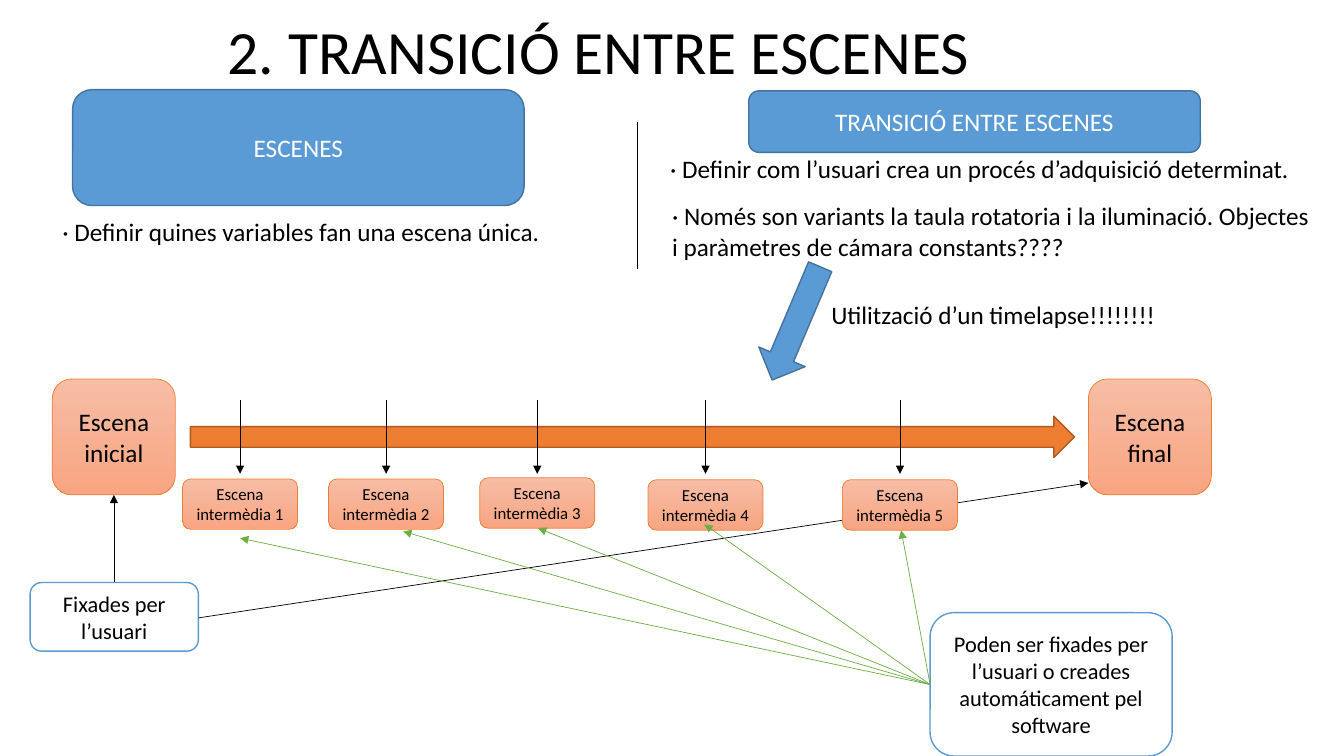
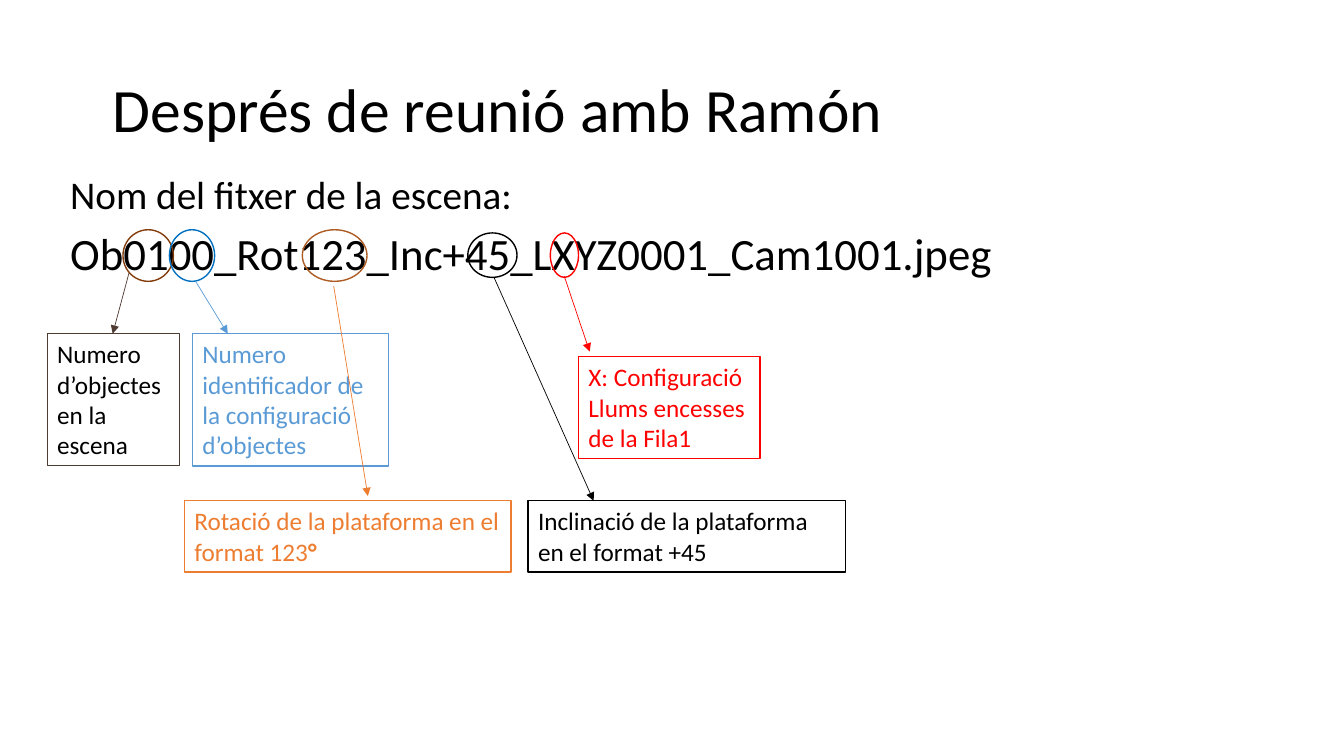
"""Build two slides on scene transitions and scene file names."""
from dataclasses import dataclass

from lxml import etree
from pptx import Presentation
from pptx import util as u
from pptx.dml import color
from pptx.enum import shapes, text
from pptx.oxml import ns

FONT = "Calibri"
BLACK, WHITE, RED = "000000", "FFFFFF", "FF0000"
BLUE, NAVY = "5B9BD5", "43739E"
ORANGE, RUST, GREEN = "ED7D31", "AF5C24", "70AD47"
BROWN, UMBER, AZURE = "843C0B", "4E3B31", "0070C0"
PEACH = ("F7BDA5", "F8A582")
KIND = shapes.MSO_SHAPE
LEFT, MID = text.PP_ALIGN.LEFT, text.PP_ALIGN.CENTER
TOP, CORE = text.MSO_ANCHOR.TOP, text.MSO_ANCHOR.MIDDLE


@dataclass(frozen=True)
class Rect:
    """Place and size in centimetres."""
    x: float
    y: float
    w: float
    h: float

    def spans(self) -> list:
        """Return the four lengths."""
        return [u.Cm(n) for n in (self.x, self.y, self.w, self.h)]


@dataclass(frozen=True)
class Look:
    """Outline, fill and text format of a shape."""
    kind: int
    line: str
    fill: str | tuple | None = None
    width: float = 1
    size: float = 18
    tone: str = BLACK
    align: int = MID
    hold: int = CORE


@dataclass(frozen=True)
class Field:
    """Part of the file name: its ring, pointer and note."""
    ring: Rect
    edge: str
    link: tuple
    tone: str
    note: Rect
    words: str
    ink: str
    bold: str = ""
    fill: str | None = WHITE
    width: float = 1


def tint(code: str) -> color.RGBColor:
    """Turn a hex string into a colour."""
    return color.RGBColor.from_string(code)


def write(frame, words: str, *, size: float = 18, tone: str = BLACK,
          bold: bool = False, align: int = LEFT, lead: float | None = None,
          gap: float | None = None, join: bool = False) -> None:
    """Add one paragraph per line of words, or join to the last one."""
    for row in words.split("\n"):
        para = frame.paragraphs[-1]
        if para.runs and not join:
            para = frame.add_paragraph()
        para.alignment = align
        if lead:
            para.line_spacing = lead
        if gap:
            para.space_before = u.Pt(gap)
        run = para.add_run()
        run.text = row
        run.font.name, run.font.size, run.font.bold = FONT, u.Pt(size), bold
        run.font.color.rgb = tint(tone)


def draw(page, spot: Rect, look: Look, words: str = "", turn: float = 0):
    """Draw a preset shape and return its text frame."""
    item = page.shapes.add_shape(look.kind, *spot.spans())
    item.shadow.inherit = False
    item.rotation = turn
    item.line.color.rgb = tint(look.line)
    item.line.width = u.Pt(look.width)
    if look.fill is None:
        item.fill.background()
    elif isinstance(look.fill, tuple):
        item.fill.gradient()
        item.fill.gradient_angle = 270
        for stop, code in zip(item.fill.gradient_stops, look.fill):
            stop.color.rgb = tint(code)
    else:
        item.fill.solid()
        item.fill.fore_color.rgb = tint(look.fill)
    frame = item.text_frame
    frame.word_wrap = True
    frame.vertical_anchor = look.hold
    if words:
        write(frame, words, size=look.size, tone=look.tone, align=look.align)
    return frame


def label(page, spot: Rect, wrap: bool = True, hold: int = TOP):
    """Add a text box and return its frame."""
    frame = page.shapes.add_textbox(*spot.spans()).text_frame
    frame.word_wrap = wrap
    frame.vertical_anchor = hold
    return frame


def join(page, ends: tuple, tone: str = BLACK, tip: bool = True) -> None:
    """Draw a thin line, with an arrowhead when tip is set."""
    link = page.shapes.add_connector(
        shapes.MSO_CONNECTOR.STRAIGHT, *[u.Cm(n) for n in ends])
    link.line.color.rgb = tint(tone)
    link.line.width = u.Pt(0.5)
    props = link.element.spPr
    if tip:
        etree.SubElement(props.find(ns.qn("a:ln")), ns.qn("a:tailEnd"),
                         type="triangle")
    etree.SubElement(props, ns.qn("a:effectLst"))


def title(page, x: float, y: float, words: str) -> None:
    """Add the slide title."""
    frame = label(page, Rect(x, y, 30.45, 3.68), hold=CORE)
    write(frame, words, size=44, lead=0.9)


HEAD = Look(KIND.ROUNDED_RECTANGLE, NAVY, BLUE, tone=WHITE)
SCENE = Look(KIND.ROUNDED_RECTANGLE, ORANGE, PEACH, 0.5)
STEP = Look(KIND.ROUNDED_RECTANGLE, ORANGE, PEACH, 0.5, 12)
NOTE = Look(KIND.ROUNDED_RECTANGLE, BLUE, WHITE, size=16)

STEPS = ((6.05, 12.07), (9.73, 12.07), (13.54, 12.04),
         (17.78, 12.09), (22.68, 12.09))
TIPS = ((6.05, 13.56), (10.16, 13.39), (13.56, 13.31),
        (17.75, 13.21), (22.71, 13.36))
POINTS = (
    (Rect(1.32, 5.33, 12.7, 1.02), False,
     "· Definir quines variables fan una escena única."),
    (Rect(16.64, 3.73, 16.31, 1.02), False,
     "· Definir com l’usuari crea un procés d’adquisició determinat."),
    (Rect(20.7, 7.42, 9.55, 1.02), True,
     "Utilització d’un timelapse!!!!!!!!"),
    (Rect(16.69, 4.93, 16.89, 1.8), False,
     "· Només son variants la taula rotatoria i la iluminació. Objectes\n"
     "i paràmetres de cámara constants????"),
)
FIELDS = (
    Field(Rect(3.1, 5.79, 1.27, 1.3), BROWN, (3.25, 6.88, 2.84, 8.41), UMBER,
          Rect(1.19, 8.41, 3.33, 3.33), "Numero d’objectes en la escena",
          BLACK, fill=None, width=0.75),
    Field(Rect(4.27, 5.79, 1.14, 1.3), AZURE, (4.93, 7.09, 5.74, 8.41), BLUE,
          Rect(4.85, 8.41, 4.95, 3.33),
          "Numero identificador de la configuració\nd’objectes", BLUE),
    Field(Rect(7.62, 5.79, 1.63, 1.3), RUST, (8.41, 7.21, 9.27, 12.5), ORANGE,
          Rect(4.65, 12.62, 8.23, 1.8),
          "Rotació de la plataforma en el format 123", ORANGE, "°"),
    Field(Rect(11.79, 5.87, 1.24, 1.12), BLACK, (12.45, 6.99, 14.96, 12.62),
          BLACK, Rect(13.31, 12.62, 8, 1.8),
          "Inclinació de la plataforma en el format +45", BLACK),
    Field(Rect(13.87, 5.87, 0.71, 1.12), RED, (14.22, 6.96, 14.86, 8.86), RED,
          Rect(14.58, 8.99, 4.57, 2.57),
          "X: Configuració Llums encesses de la Fila1", RED),
)


def scenes(page) -> None:
    """Draw the timeline between the first and last scene."""
    draw(page, Rect(1.83, 2.26, 11.38, 2.92), HEAD, "ESCENES")
    join(page, (16.05, 3.07, 16.05, 6.78), tip=False)
    draw(page, Rect(18.87, 2.29, 11.38, 1.55), HEAD, "TRANSICIÓ ENTRE ESCENES")
    draw(page, Rect(4.8, 10.49, 22.28, 1.04),
         Look(KIND.RIGHT_ARROW, RUST, ORANGE))
    for x, words in ((1.32, "Escena inicial"), (27.43, "Escena final")):
        draw(page, Rect(x, 9.55, 3.1, 2.92), SCENE, words)
    join(page, (2.87, 14.68, 2.87, 12.47))
    draw(page, Rect(0.76, 14.68, 4.24, 1.73), NOTE, "Fixades per l’usuari")
    join(page, (5, 15.57, 27.43, 12.17))
    for num, (x, y) in enumerate(STEPS, 1):
        join(page, (x, 10.08, x, 11.94))
        draw(page, Rect(x - 1.45, y, 2.9, 1.27), STEP,
             f"Escena intermèdia {num}")
    draw(page, Rect(23.44, 15.44, 6.1, 3.61), NOTE,
         "Poden ser fixades per l’usuari o creades automáticament pel software")
    draw(page, Rect(19.43, 6.6, 1.27, 3.1),
         Look(KIND.DOWN_ARROW, NAVY, BLUE), turn=23)
    for tip in TIPS:
        join(page, (23.44, 17.25, *tip), GREEN)
    for spot, wrap, words in POINTS:
        write(label(page, spot, wrap), words)
    title(page, 5.49, -0.46, "2. TRANSICIÓ ENTRE ESCENES")


def naming(page) -> None:
    """Explain the parts of the scene file name."""
    title(page, 2.59, 0.99, "Després de reunió amb Ramón")
    frame = label(page, Rect(1.52, 4.29, 29.21, 8.18))
    for size, words in ((28, "Nom del fitxer de la escena:"),
                        (32, "Ob0100_Rot123_Inc+45_LXYZ0001_Cam1001.jpeg")):
        write(frame, words, size=size, lead=0.9, gap=10)
    for part in FIELDS:
        draw(page, part.ring, Look(KIND.OVAL, part.edge))
        look = Look(KIND.RECTANGLE, part.tone, part.fill, part.width,
                    tone=part.ink, align=LEFT, hold=TOP)
        frame = draw(page, part.note, look, part.words)
        if part.bold:
            write(frame, part.bold, tone=part.ink, bold=True, join=True)
        join(page, part.link, part.tone)


def main() -> None:
    """Build and save the deck."""
    deck = Presentation()
    deck.slide_width, deck.slide_height = u.Cm(33.87), u.Cm(19.05)
    for build in (scenes, naming):
        build(deck.slides.add_slide(deck.slide_layouts[6]))
    deck.save("out.pptx")


main()
